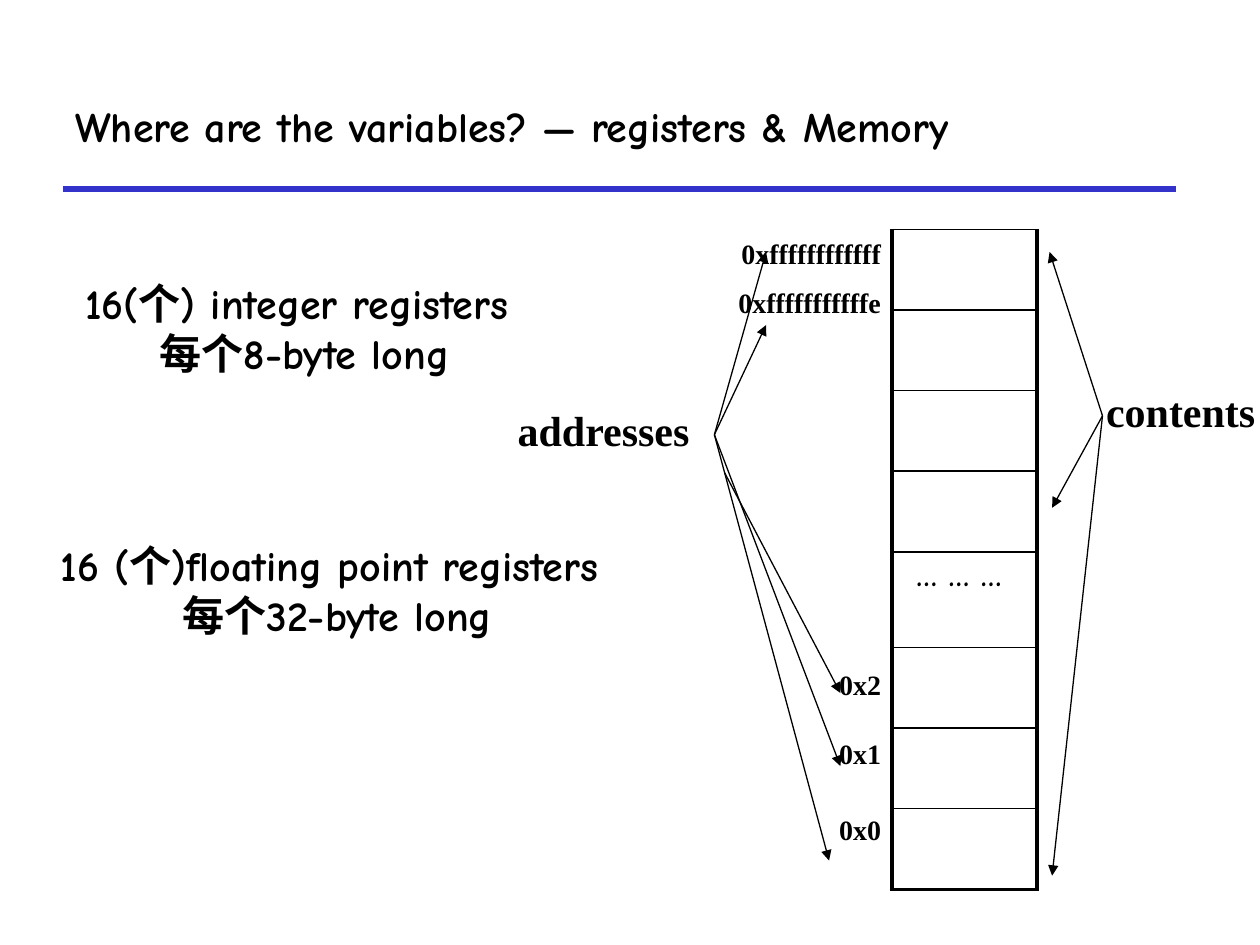
from lxml import etree
from pptx import Presentation
from pptx import util as u
from pptx.dml.color import RGBColor
from pptx.enum import shapes, text
from pptx.oxml import ns

BLACK = RGBColor(0, 0, 0)
BLUE = RGBColor(0x33, 0x33, 0xCC)
COMIC = "Comic Neue"
TIMES = "Times New Roman"
LEFT, MID, RIGHT = text.PP_ALIGN.LEFT, text.PP_ALIGN.CENTER, text.PP_ALIGN.RIGHT


class Deck:
    def __init__(self):
        self.prs = Presentation()
        self.prs.slide_width = u.Inches(10)
        self.prs.slide_height = u.Inches(7.5)
        self.slide = self.prs.slides.add_slide(self.prs.slide_layouts[6])
        self.style = {"name": COMIC, "size": u.Pt(24), "bold": True}

    def fill_para(self, para, words, align=LEFT, gap=0, **font):
        para.text = words
        para.alignment = align
        para.space_before = u.Pt(gap)
        run = para.runs[0]
        for key, value in {**self.style, **font}.items():
            setattr(run.font, key, value)
        run.font.color.rgb = BLACK

    def label(self, box, lines, align=LEFT, anchor=text.MSO_ANCHOR.TOP, **font):
        frame = self.slide.shapes.add_textbox(*map(u.Inches, box)).text_frame
        frame.word_wrap = True
        frame.vertical_anchor = anchor
        for i, (words, gap) in enumerate(lines):
            para = frame.add_paragraph() if i else frame.paragraphs[0]
            self.fill_para(para, words, align, gap, **font)

    def line(self, start, end, color=BLACK, width=0.75, head=True):
        line = self.slide.shapes.add_connector(
            shapes.MSO_CONNECTOR.STRAIGHT, *map(u.Inches, (*start, *end)))
        line.line.color.rgb = color
        line.line.width = u.Pt(width)
        props = line._element.spPr
        if head:
            etree.SubElement(props.find(ns.qn("a:ln")), ns.qn("a:tailEnd"), type="triangle")
        etree.SubElement(props, ns.qn("a:effectLst"))

    def edge(self, cell, widths):
        props = cell._tc.get_or_add_tcPr()
        for i, (side, width) in enumerate(widths.items()):
            edge = etree.Element(ns.qn(f"a:ln{side}"), w=str(u.Pt(width)))
            fill = etree.SubElement(edge, ns.qn("a:solidFill"))
            etree.SubElement(fill, ns.qn("a:srgbClr"), val=str(BLACK))
            props.insert(i, edge)

    def stack(self, left, top, width, rows):
        size = map(u.Inches, (left, top, width, sum(rows)))
        table = self.slide.shapes.add_table(len(rows), 1, *size).table
        table.first_row = table.horz_banding = False
        for i, height in enumerate(rows):
            table.rows[i].height = u.Inches(height)
            cell = table.cell(i, 0)
            cell.fill.background()
            base = 2.25 if i == len(rows) - 1 else 1
            self.edge(cell, {"L": 2.25, "R": 2.25, "T": 1, "B": base})
        return table


def main():
    deck = Deck()
    deck.line((0.5, 1.5), (9.33, 1.5), BLUE, 3, False)
    deck.label((0.5, 0.5, 8.83, 1),
               [("Where are the variables? — registers & Memory", 0)],
               anchor=text.MSO_ANCHOR.MIDDLE)

    cells = [0.64] * 4 + [0.76] + [0.64] * 3
    table = deck.stack(7.08, 1.82, 1.15, cells)
    deck.fill_para(table.cell(4, 0).text_frame.paragraphs[0], "… … … ", MID, size=u.Pt(18))

    marks = [("0xffffffffffff", 0), ("0xfffffffffffe", 8.5),
             ("0x2", 199), ("0x1", 20.5), ("0x0", 24.5)]
    deck.label((5.67, 1.83, 1.42, 5.22), marks, RIGHT, name=TIMES, size=u.Pt(16))
    deck.label((4.01, 3.16, 1.83, 0.51), [("addresses", 0)], name=TIMES)
    deck.label((8.68, 3.01, 1.63, 0.51), [("contents", 0)], name=TIMES)

    fans = {
        (8.75, 3.3): [(8.35, 4.03), (8.35, 6.95), (8.33, 2)],
        (5.67, 3.45): [(6.08, 2), (6.08, 2.58), (6.58, 6.83), (6.67, 6.08)],
        (5.75, 3.75): [(6.67, 5.5)],
    }
    for start, ends in fans.items():
        for end in ends:
            deck.line(start, end)

    deck.label((0.49, 2.15, 3.85, 1.31),
               [("16(个) integer registers ", 0), ("每个8-byte long", 0)], MID)
    deck.label((0.37, 4.23, 4.61, 1.31),
               [("16 (个)floating point registers ", 0), ("每个32-byte long", 0)], MID)
    deck.prs.save("out.pptx")


if __name__ == "__main__":
    main()
